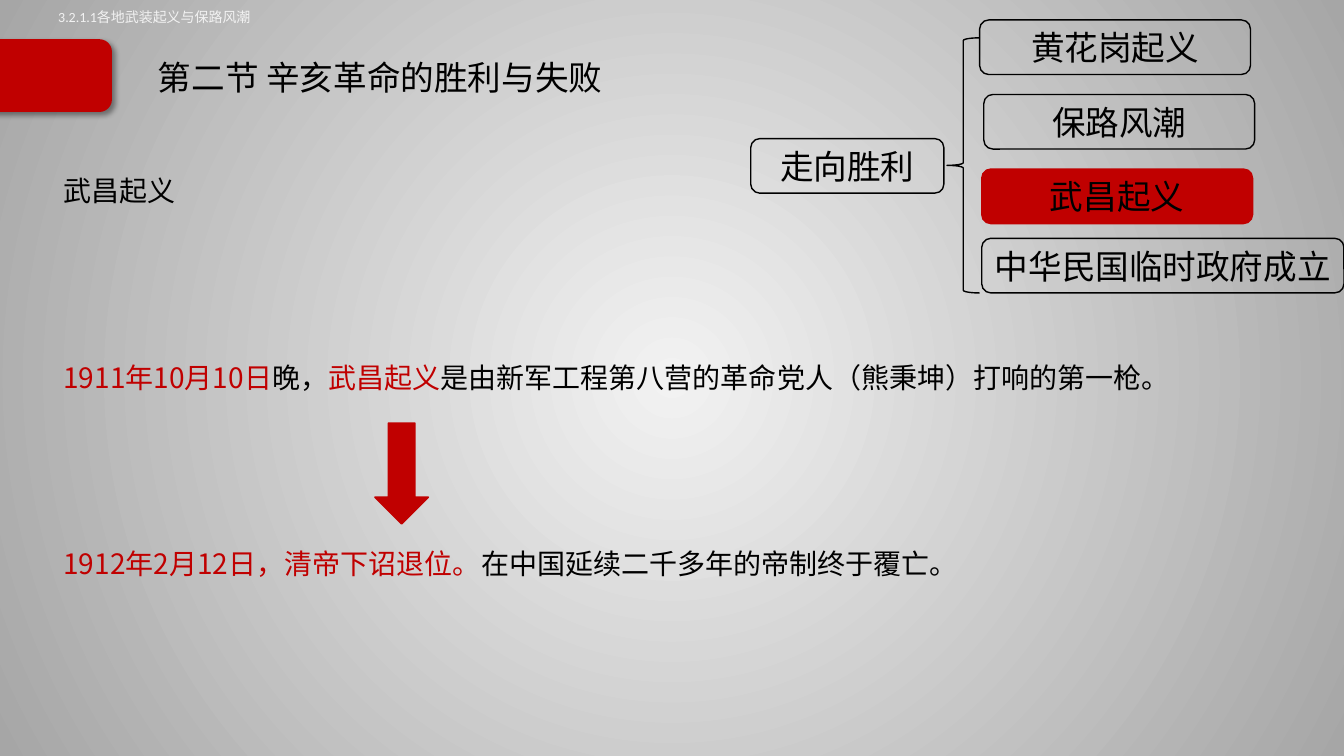
from lxml import etree
from pptx import Presentation
from pptx import util as u
from pptx.dml.color import RGBColor
from pptx.enum import shapes, text
from pptx.oxml import parse_xml
from pptx.oxml.ns import nsdecls, qn

PX = 9525
RED, BLACK, PALE = "C00000", "000000", "F2F2F2"
SC, JP = "Noto Sans CJK SC", "Noto Sans CJK JP"
SHAPE = shapes.MSO_SHAPE


def rgb(value):
    return RGBColor.from_string(value)


def add_run(p, words, size, color, latin=SC, asian=SC):
    r = p.add_run()
    r.text = words
    r.font.size = u.Pt(size)
    r.font.color.rgb = rgb(color)
    r.font.name = latin
    etree.SubElement(r.font._element, qn("a:ea"), typeface=asian)


prs = Presentation()
prs.slide_width, prs.slide_height = 1280 * PX, 720 * PX
s = prs.slides.add_slide(prs.slide_layouts[6])

fill = s.background.fill
fill.gradient()
for stop, color, position in zip(fill.gradient_stops, (PALE, "A6A6A6"), (0, 1)):
    stop.color.rgb = rgb(color)
    stop.position = position
grad = s.background._cSld.find(".//" + qn("a:gradFill"))
grad.replace(grad.find(qn("a:lin")), parse_xml(
    f'<a:path {nsdecls("a")} path="circle">'
    '<a:fillToRect l="50000" t="50000" r="50000" b="50000"/></a:path>'))

figures = [
    (SHAPE.ROUNDED_RECTANGLE, (-17, 38, 123, 68), RED, RED, ""),
    (SHAPE.DOWN_ARROW, (357, 403, 51, 96), RED, RED, ""),
    (SHAPE.ROUNDED_RECTANGLE, (715, 132, 184, 52), None, BLACK, "走向胜利"),
    (SHAPE.LEFT_BRACE, (902, 36, 31, 243), None, BLACK, ""),
    (SHAPE.ROUNDED_RECTANGLE, (933, 19, 258, 52), None, BLACK, "黄花岗起义"),
    (SHAPE.ROUNDED_RECTANGLE, (937, 90, 258, 52), None, BLACK, "保路风潮"),
    (SHAPE.ROUNDED_RECTANGLE, (935, 161, 258, 52), RED, RED, "武昌起义"),
    (SHAPE.ROUNDED_RECTANGLE, (935, 227, 345, 52), None, BLACK, "中华民国临时政府成立"),
]
drawn = []
for kind, box, color, line, label in figures:
    sp = s.shapes.add_shape(kind, *(v * PX for v in box))
    sp.shadow.inherit = False
    if color:
        sp.fill.solid()
        sp.fill.fore_color.rgb = rgb(color)
    else:
        sp.fill.background()
    sp.line.color.rgb = rgb(line)
    sp.line.width = u.Pt(1)
    if label:
        tf = sp.text_frame
        tf.word_wrap = False
        tf.vertical_anchor = text.MSO_ANCHOR.MIDDLE
        tf.paragraphs[0].alignment = text.PP_ALIGN.CENTER
        add_run(tf.paragraphs[0], label, 24, BLACK)
    drawn.append(sp)

tab = drawn[0]
effects = tab._element.spPr.find(qn("a:effectLst"))
effects.append(parse_xml(
    f'<a:outerShdw {nsdecls("a")} blurRad="50800" dist="38100" dir="2700000" algn="tl" rotWithShape="0">'
    '<a:srgbClr val="000000"><a:alpha val="40000"/></a:srgbClr></a:outerShdw>'))

frames = []
for box in [(141, 47, 1070, 57), (51, 161, 1160, 498), (46, 3, 541, 26)]:
    tf = s.shapes.add_textbox(*(v * PX for v in box)).text_frame
    tf.word_wrap = True
    frames.append(tf)
title, body, caption = frames

title.vertical_anchor = text.MSO_ANCHOR.MIDDLE
title.paragraphs[0].line_spacing = 0.9
add_run(title.paragraphs[0], "第二节 辛亥革命的胜利与失败", 24, BLACK, JP, JP)
add_run(caption.paragraphs[0], "3.2.1.1各地武装起义与保路风潮", 10, PALE, "Calibri")

story = [
    [("武昌起义", BLACK)],
    [("1911年10月10日", RED), ("晚，", BLACK), ("武昌起义", RED),
     ("是由新军工程第八营的革命党人（熊秉坤）打响的第一枪。", BLACK)],
    [("1912年2月12日，清帝下诏退位。", RED), ("在中国延续二千多年的帝制终于覆亡。", BLACK)],
]
for i, parts in enumerate(story):
    p = body.add_paragraph() if i else body.paragraphs[0]
    if i:
        p.space_before = u.Pt(109)
    for words, color in parts:
        add_run(p, words, 20, color)

prs.save("out.pptx")
